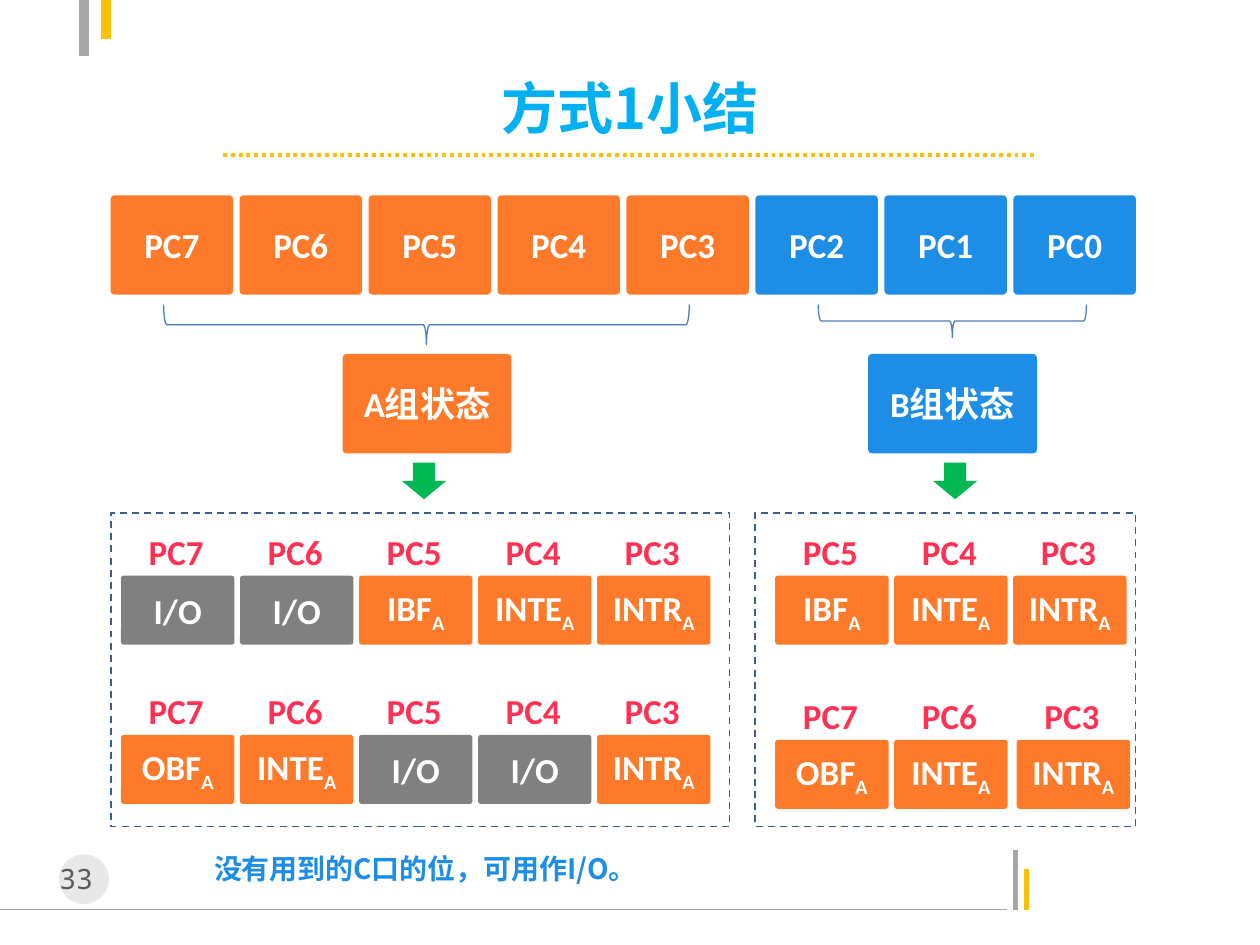
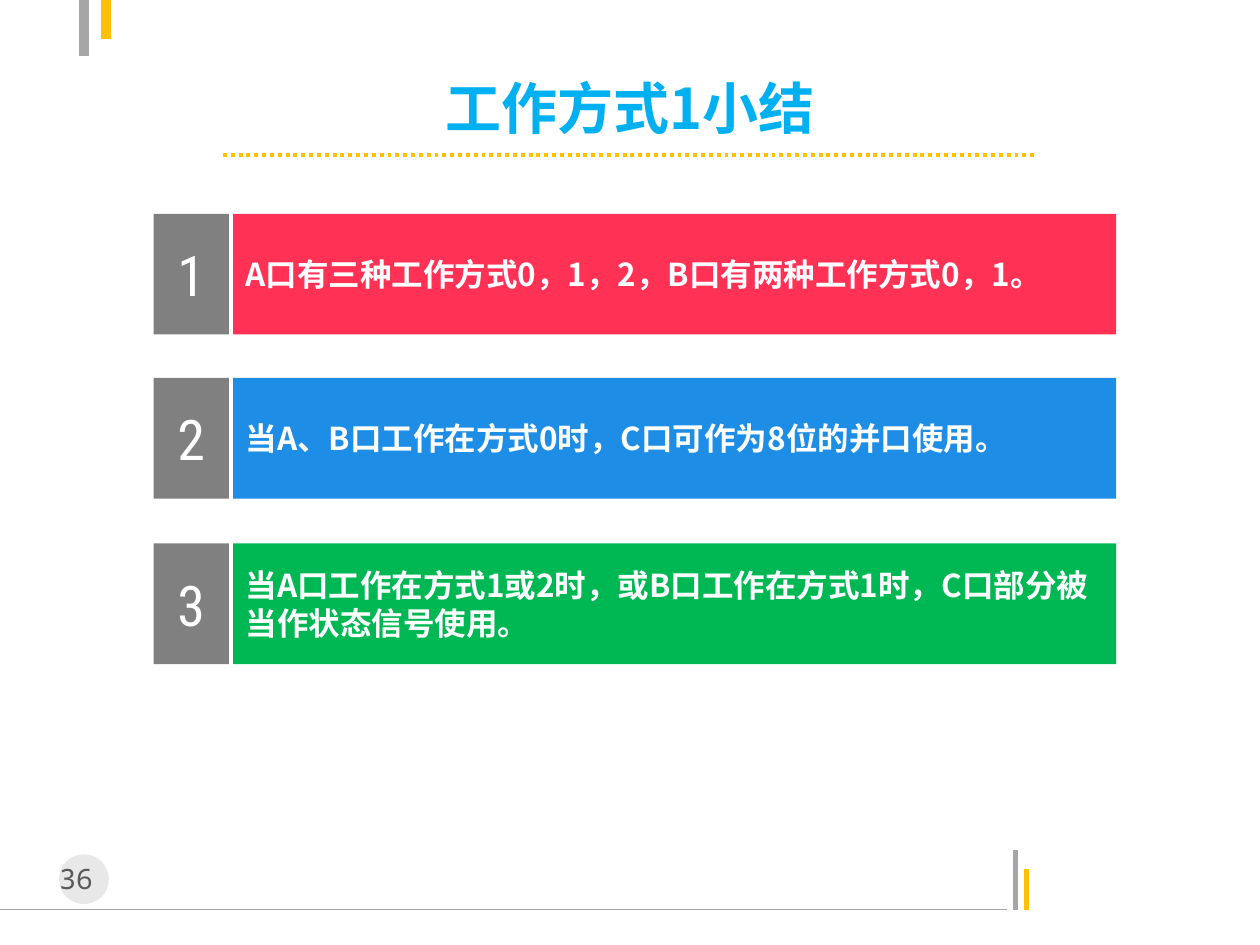
from dataclasses import dataclass

from lxml import etree
from pptx import Presentation
from pptx.dml.color import RGBColor
from pptx.enum.dml import MSO_LINE
from pptx.enum.shapes import MSO_CONNECTOR, MSO_SHAPE
from pptx.enum.text import MSO_ANCHOR, PP_ALIGN
from pptx.oxml.ns import qn
from pptx.util import Pt

RECTANGLE = MSO_SHAPE.RECTANGLE
ROUNDED = MSO_SHAPE.ROUNDED_RECTANGLE
OVAL = MSO_SHAPE.OVAL
BRACE = MSO_SHAPE.LEFT_BRACE
DOWN_ARROW = MSO_SHAPE.DOWN_ARROW
STRAIGHT = MSO_CONNECTOR.STRAIGHT
DOTTED = MSO_LINE.ROUND_DOT
DASHED = MSO_LINE.DASH
LEFT = PP_ALIGN.LEFT
CENTER = PP_ALIGN.CENTER
TOP = MSO_ANCHOR.TOP
MIDDLE = MSO_ANCHOR.MIDDLE

WHITE = "FFFFFF"
ORANGE = "FD7A2A"
BLUE = "1D8DE5"
RED = "FF3255"
GREEN = "00B853"
GRAY = "808080"
RULE_GRAY = "A6A6A6"
YELLOW = "FFC000"
TITLE_BLUE = "00B0F0"
BRACE_BLUE = "4B7EBC"
PANEL_BLUE = "3A5F8C"
BADGE_GRAY = "BFBFBF"
NUMBER_GRAY = "595959"

CHINESE_FONT = "Noto Sans CJK SC"
LABEL_FONT = "Calibri"
PAGE_FONT = "Noto Sans Mono"
DIGIT_FONT = "Roboto Condensed"

BIT_LEFT, BIT_TOP, BIT_PITCH, BIT_WIDTH, BIT_HEIGHT = 63.2, 111.6, 73.7, 70, 56.8
CELL_PITCH, CELL_WIDTH, CELL_HEIGHT = 68, 64.8, 39.4
LABEL_INDENT, LABEL_RISE, LABEL_WIDTH = 7.8, 33.5, 47.5
PANEL_TOP, PANEL_HEIGHT = 293, 179.3


@dataclass
class Frame:
    left: float
    top: float
    width: float
    height: float


@dataclass
class Rule:
    start: tuple[float, float]
    end: tuple[float, float]
    color: str
    weight: float
    dash: MSO_LINE | None = None


@dataclass
class Group:
    name: str
    color: str
    center: float
    brace: Frame
    arrow_left: float
    panel_left: float
    panel_width: float


@dataclass
class StateRow:
    left: float
    top: float
    bits: str
    signals: str
    last_shift: float = 0


@dataclass
class Point:
    top: float
    color: str
    text: str


RULES = [
    Rule((0, 519.8), (575.3, 519.8), RULE_GRAY, 0.75),
    Rule((580.3, 519.8), (580.3, 485.5), RULE_GRAY, 3),
    Rule((586.8, 519.8), (586.8, 496.5), YELLOW, 3),
    Rule((48, 0), (48, 32), RULE_GRAY, 6),
    Rule((60.5, 0), (60.5, 22.5), YELLOW, 6),
    Rule((127.4, 88.6), (591.3, 88.6), YELLOW, 2.25, DOTTED),
]

GROUPS = [
    Group("A组状态", ORANGE, 244, Frame(93.5, 174, 300.4, 23), 229.7, 63.4, 353.5),
    Group("B组状态", BLUE, 544.3, Frame(467.6, 174, 153.2, 18.8), 533.2, 431.3, 217.6),
]

STATE_ROWS = [
    StateRow(69.2, 329, "PC7 PC6 PC5 PC4 PC3", "I/O I/O IBF INTE INTR"),
    StateRow(69.2, 420, "PC7 PC6 PC5 PC4 PC3", "OBF INTE I/O I/O INTR"),
    StateRow(443, 329, "PC5 PC4 PC3", "IBF INTE INTR"),
    StateRow(443, 422.8, "PC7 PC6 PC3", "OBF INTE INTR", 2),
]

POINTS = [
    Point(122.2, RED, "A口有三种工作方式0，1，2，B口有两种工作方式0，1。"),
    Point(216, BLUE, "当A、B口工作在方式0时，C口可作为8位的并口使用。"),
    Point(310.5, GREEN, "当A口工作在方式1或2时，或B口工作在方式1时，C口部分被当作状态信号使用。"),
]


def rgb(value: str) -> RGBColor:
    return RGBColor.from_string(value)


def write(box, text: str, *, size: float = 20, font: str = LABEL_FONT, color: str = WHITE,
          bold: bool = True, align=CENTER, anchor=MIDDLE, subscript: str = ""):
    frame = box.text_frame
    frame.word_wrap = True
    frame.vertical_anchor = anchor
    para = frame.paragraphs[0]
    para.alignment = align
    for part in filter(None, (text, subscript)):
        span = para.add_run()
        span.text = part
        span.font.size = Pt(size)
        span.font.name = font
        span.font.bold = bold
        span.font.color.rgb = rgb(color)
        properties = span._r.get_or_add_rPr()
        east_asian = CHINESE_FONT if font == LABEL_FONT else font
        etree.SubElement(properties, qn("a:ea")).set("typeface", east_asian)
    if subscript:
        properties.set("baseline", "-25000")


def add_text(page, frame: Frame, text: str, **style):
    box = page.shapes.add_textbox(Pt(frame.left), Pt(frame.top), Pt(frame.width), Pt(frame.height))
    write(box, text, **style)


def add_box(page, kind, frame: Frame, fill: str | None = None, line: str | None = None,
            weight: float = 1):
    box = page.shapes.add_shape(kind, Pt(frame.left), Pt(frame.top), Pt(frame.width), Pt(frame.height))
    box.shadow.inherit = False
    if kind == ROUNDED:
        box.adjustments[0] = 0.04
    if fill:
        box.fill.solid()
        box.fill.fore_color.rgb = rgb(fill)
    else:
        box.fill.background()
    if line:
        box.line.color.rgb = rgb(line)
        box.line.width = Pt(weight)
    else:
        box.line.fill.background()
    return box


def add_rule(page, rule: Rule):
    line = page.shapes.add_connector(STRAIGHT, *map(Pt, rule.start + rule.end))
    line.line.color.rgb = rgb(rule.color)
    line.line.width = Pt(rule.weight)
    if rule.dash:
        line.line.dash_style = rule.dash
    etree.SubElement(line._element.spPr, qn("a:effectLst"))


def add_page(deck, title: str, number: int):
    page = deck.slides.add_slide(deck.slide_layouts[6])
    for rule in RULES:
        add_rule(page, rule)
    badge = add_box(page, OVAL, Frame(33.8, 488.2, 28.4, 28.4), BADGE_GRAY)
    tint = badge.fill._xPr.find(qn("a:solidFill"))[0]
    etree.SubElement(tint, qn("a:alpha")).set("val", "35000")
    add_text(page, Frame(18, 489, 51, 26.6), str(number), size=16, font=PAGE_FONT,
             color=NUMBER_GRAY, bold=False, anchor=TOP)
    add_text(page, Frame(99, 43.2, 522, 36), title, size=32, font=CHINESE_FONT, color=TITLE_BLUE)
    return page


def add_group(page, group: Group):
    span = group.brace
    middle_x = span.left + span.width / 2
    middle_y = span.top + span.height / 2
    upright = Frame(middle_x - span.height / 2, middle_y - span.width / 2, span.height, span.width)
    brace = add_box(page, BRACE, upright, line=BRACE_BLUE, weight=0.75)
    brace.rotation = 270
    status = add_box(page, ROUNDED, Frame(group.center - 48.2, 202.3, 96.5, BIT_HEIGHT), group.color)
    write(status, group.name)
    add_box(page, DOWN_ARROW, Frame(group.arrow_left, 264.4, 25.2, 20.9), GREEN)
    panel = add_box(page, RECTANGLE, Frame(group.panel_left, PANEL_TOP, group.panel_width, PANEL_HEIGHT),
                    line=PANEL_BLUE)
    panel.line.dash_style = DASHED


def add_state_row(page, row: StateRow):
    bits = row.bits.split()
    for index, (bit, signal) in enumerate(zip(bits, row.signals.split())):
        left = row.left + index * CELL_PITCH
        if index == len(bits) - 1:
            left += row.last_shift
        unused = signal == "I/O"
        cell = add_box(page, ROUNDED, Frame(left, row.top, CELL_WIDTH, CELL_HEIGHT),
                       GRAY if unused else ORANGE)
        write(cell, signal, subscript="" if unused else "A")
        label = add_box(page, ROUNDED,
                        Frame(left + LABEL_INDENT, row.top - LABEL_RISE, LABEL_WIDTH, CELL_HEIGHT))
        write(label, bit, color=RED)


def build_status_page(deck):
    page = add_page(deck, "方式1小结", 33)
    for index in range(8):
        frame = Frame(BIT_LEFT + index * BIT_PITCH, BIT_TOP, BIT_WIDTH, BIT_HEIGHT)
        write(add_box(page, ROUNDED, frame, ORANGE if index < 5 else BLUE), f"PC{7 - index}")
    for group in GROUPS:
        add_group(page, group)
    for row in STATE_ROWS:
        add_state_row(page, row)
    add_text(page, Frame(115.2, 483, 300, 27.4), "没有用到的C口的位，可用作I/O。", size=16,
             font=CHINESE_FONT, color=BLUE, align=LEFT, anchor=TOP)


def build_summary_page(deck):
    page = add_page(deck, "工作方式1小结", 36)
    for number, point in enumerate(POINTS, 1):
        digit = add_box(page, RECTANGLE, Frame(87.8, point.top, 43, 69), GRAY)
        write(digit, str(number), size=32, font=DIGIT_FONT, bold=False)
        bar = add_box(page, RECTANGLE, Frame(133.2, point.top, 504.6, 69), point.color)
        write(bar, point.text, size=18, font=CHINESE_FONT, align=LEFT)


def main():
    deck = Presentation()
    deck.slide_width = Pt(720)
    deck.slide_height = Pt(540)
    build_status_page(deck)
    build_summary_page(deck)
    deck.save("out.pptx")


if __name__ == "__main__":
    main()
